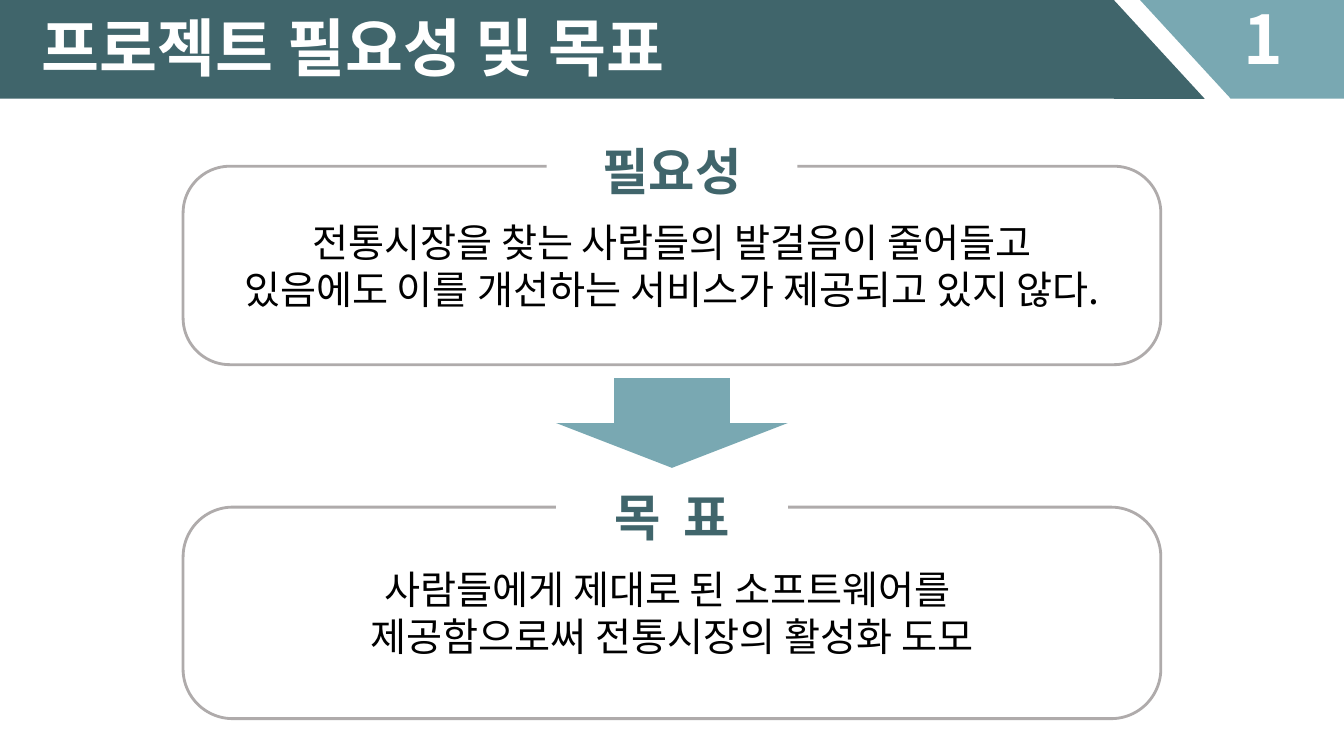
from dataclasses import dataclass

from lxml import etree
from pptx import Presentation
from pptx.dml.color import RGBColor
from pptx.enum.shapes import MSO_SHAPE
from pptx.enum.text import MSO_ANCHOR, MSO_AUTO_SIZE, PP_ALIGN
from pptx.oxml.ns import qn
from pptx.util import Cm, Pt

RECT, ROUND = MSO_SHAPE.RECTANGLE, MSO_SHAPE.ROUNDED_RECTANGLE
TRIANGLE, DOWN_ARROW = MSO_SHAPE.ISOSCELES_TRIANGLE, MSO_SHAPE.DOWN_ARROW
LEFT, CENTER = PP_ALIGN.LEFT, PP_ALIGN.CENTER
TOP, MIDDLE = MSO_ANCHOR.TOP, MSO_ANCHOR.MIDDLE
NO_FIT = MSO_AUTO_SIZE.NONE


@dataclass(frozen=True)
class Theme:
    font: str = "Noto Sans CJK KR"
    dark: RGBColor = RGBColor(0x40, 0x65, 0x6B)
    light: RGBColor = RGBColor(0x79, 0xA8, 0xB2)
    frame: RGBColor = RGBColor(0xAF, 0xAB, 0xAB)
    white: RGBColor = RGBColor(0xFF, 0xFF, 0xFF)
    black: RGBColor = RGBColor(0, 0, 0)
    number_size: int = 48
    title_size: int = 45
    label_size: int = 36
    body_size: int = 28


THEME = Theme()
SLIDE_W, SLIDE_H = 33.87, 19.05


def add_block(slide, kind, x, y, w, h, fill=None, line=None):
    sp = slide.shapes.add_shape(kind, Cm(x), Cm(y), Cm(w), Cm(h))
    sp.shadow.inherit = False
    if fill is None:
        sp.fill.background()
    else:
        sp.fill.solid()
        sp.fill.fore_color.rgb = fill
    if line is None:
        sp.line.fill.background()
    else:
        sp.line.color.rgb = line
        sp.line.width = Pt(2)
    return sp


def write(sp, lines, size, color, bold=False, align=CENTER, anchor=TOP, wrap=True):
    tf = sp.text_frame
    tf.auto_size = NO_FIT
    tf.word_wrap = wrap
    tf.vertical_anchor = anchor
    for i, line in enumerate(lines):
        p = tf.add_paragraph() if i else tf.paragraphs[0]
        p.alignment = align
        r = p.add_run()
        r.text = line
        r.font.size = Pt(size)
        r.font.bold = bold
        r.font.color.rgb = color
        r.font.name = THEME.font
        # East Asian typeface for Hangul
        etree.SubElement(r.font._element, qn("a:ea")).set("typeface", THEME.font)


def add_textbox(slide, x, y, w, h, *args, **kwargs):
    sp = slide.shapes.add_textbox(Cm(x), Cm(y), Cm(w), Cm(h))
    write(sp, *args, **kwargs)


def add_header(slide, x, y, w, h, title, number):
    slant, gap, tab_w = 2.29, 0.66, 2.85
    tab_x = x + w - tab_w
    bar_w = tab_x - slant - gap - x

    # Title bar and number tab with slanted edges
    dark_edge = add_block(slide, TRIANGLE, x + bar_w, y, slant, h, THEME.dark)
    add_block(slide, RECT, x, y, bar_w, h, THEME.dark)
    add_block(slide, RECT, tab_x, y, tab_w, h, THEME.light)
    light_edge = add_block(slide, TRIANGLE, tab_x - slant, y, slant, h, THEME.light)
    for edge in (dark_edge, light_edge):
        edge.adjustments[0] = 0
    light_edge.rotation = 180

    # Number and title
    add_textbox(slide, tab_x + 0.07, y - 0.18, 1.45, 2.31,
                [number], THEME.number_size, THEME.white, bold=True)
    sp = slide.shapes.title
    sp.left, sp.top, sp.width, sp.height = Cm(x + 0.79), Cm(y + 0.08), Cm(17.35), Cm(2.13)
    write(sp, [title], THEME.title_size, THEME.white, bold=True, align=LEFT, wrap=False)
    slide.shapes._spTree.append(sp._element)  # bring in front of the bar


def add_panel(slide, x, y, w, h, label, label_w, label_rise, lines, text_drop):
    # Frame
    frame = add_block(slide, ROUND, x, y, w, h, line=THEME.frame)
    frame.adjustments[0] = 0.235

    # Text and the label that interrupts the frame
    add_textbox(slide, x - 0.4, y + text_drop, w + 0.8, 2.64,
                lines, THEME.body_size, THEME.black)
    tag = add_block(slide, RECT, x + (w - label_w) / 2, y - label_rise,
                    label_w, 1.8, THEME.white)
    write(tag, [label], THEME.label_size, THEME.dark, bold=True, anchor=MIDDLE)


def add_arrow(slide, x, y, w, h):
    add_block(slide, DOWN_ARROW, x, y, w, h, THEME.light)


def main():
    prs = Presentation()
    prs.slide_width, prs.slide_height = Cm(SLIDE_W), Cm(SLIDE_H)
    slide = prs.slides.add_slide(prs.slide_layouts[5])

    panel_w, arrow_w = 24.64, 5.84
    panel_x = (SLIDE_W - panel_w) / 2
    add_header(slide, 0, 0, SLIDE_W, 2.49, "프로젝트 필요성 및 목표", "1")
    add_panel(slide, panel_x, 4.19, panel_w, 5.0, "필요성", 6.32, 0.79,
              ["전통시장을 찾는 사람들의 발걸음이 줄어들고",
               "있음에도 이를 개선하는 서비스가 제공되고 있지 않다."], 1.19)
    add_arrow(slide, (SLIDE_W - arrow_w) / 2, 9.53, arrow_w, 2.26)
    add_panel(slide, panel_x, 12.78, panel_w, 5.33, "목  표", arrow_w, 0.66,
              ["사람들에게 제대로 된 소프트웨어를 ",
               "제공함으로써 전통시장의 활성화 도모"], 1.34)
    prs.save("out.pptx")


if __name__ == "__main__":
    main()
